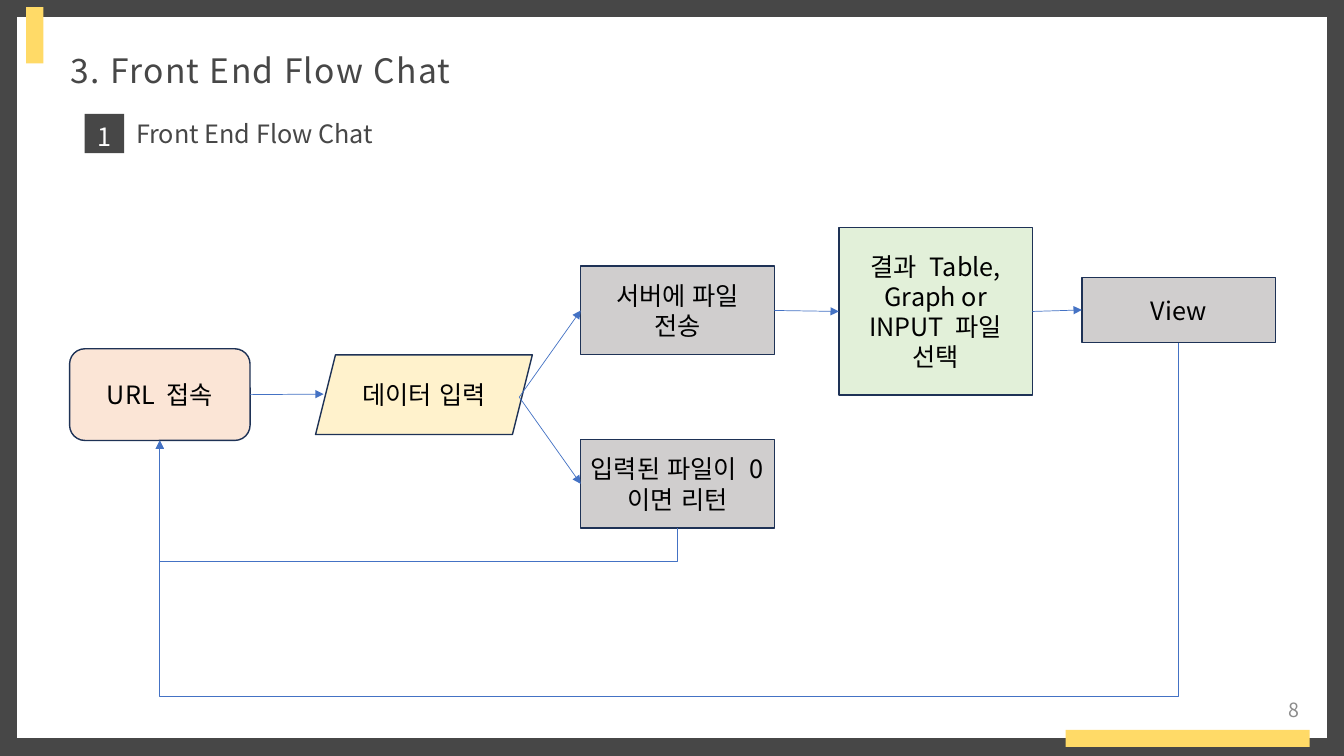
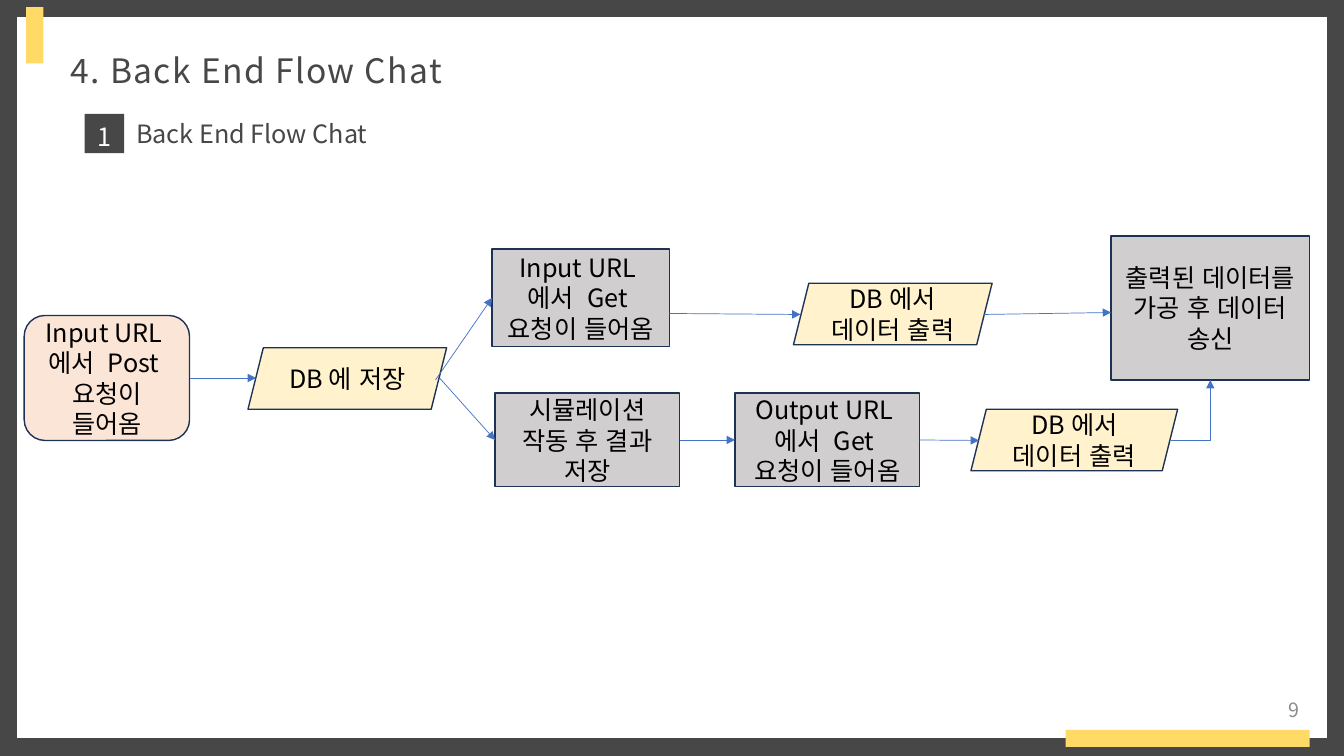
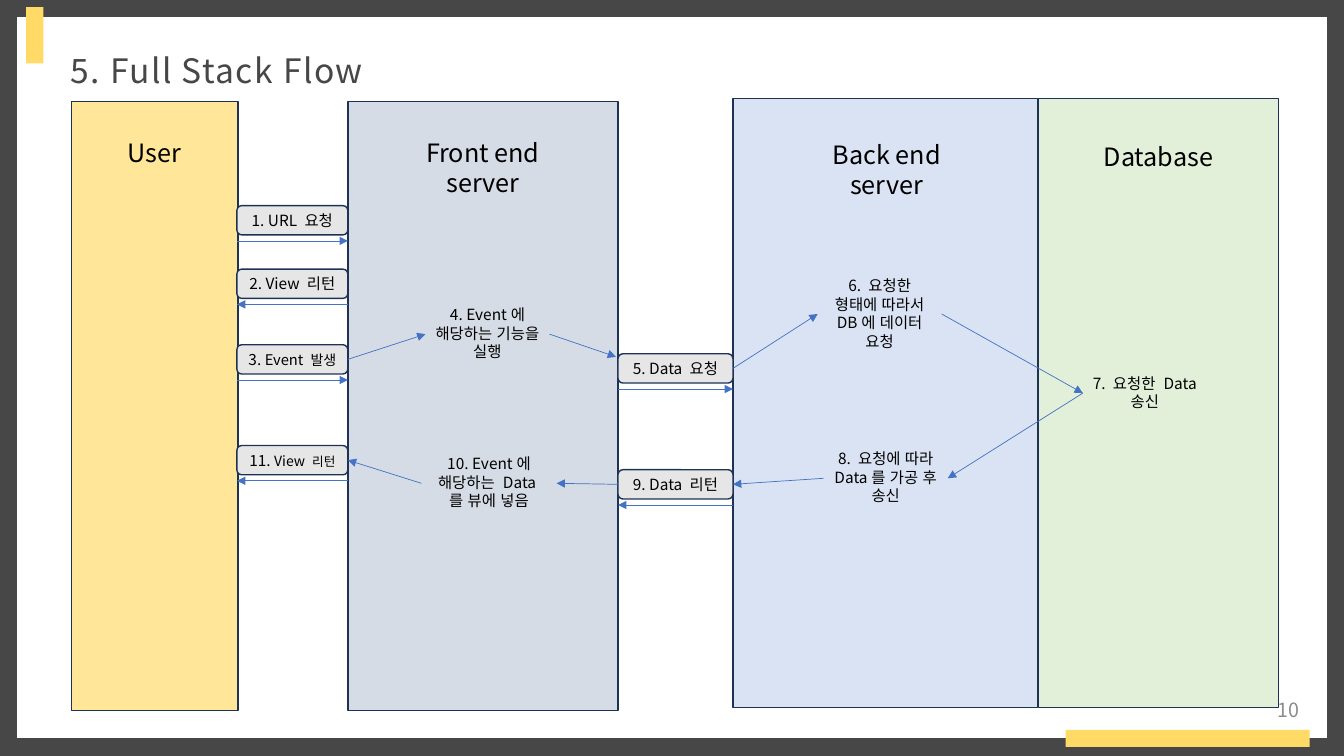
"""Builds three flow slides: front end, back end and full stack."""
from dataclasses import dataclass

from lxml import etree
from pptx import Presentation
from pptx import util as u
from pptx.dml.color import RGBColor
from pptx.enum import shapes, text
from pptx.oxml.ns import qn

RECT = shapes.MSO_SHAPE.RECTANGLE
ROUND = shapes.MSO_SHAPE.ROUNDED_RECTANGLE
SLANT = shapes.MSO_SHAPE.PARALLELOGRAM
LEFT, CENTER, RIGHT = text.PP_ALIGN.LEFT, text.PP_ALIGN.CENTER, text.PP_ALIGN.RIGHT
TOP, MIDDLE = text.MSO_ANCHOR.TOP, text.MSO_ANCHOR.MIDDLE
SIDE_LEFT, SIDE_BOTTOM, SIDE_RIGHT = 1, 2, 3


@dataclass(frozen=True)
class Theme:
    font: str = "Noto Sans CJK KR"
    dark: str = "474747"
    white: str = "FFFFFF"
    black: str = "000000"
    accent: str = "FFDA67"
    muted: str = "8C8C8C"
    outline: str = "1E3256"
    arrow: str = "4472C4"
    start: str = "FBE5D6"
    data: str = "FFF2CC"
    process: str = "D0CECE"
    result: str = "E2F0D9"
    message: str = "E7E6E6"
    user: str = "FFE699"
    front: str = "D6DCE5"
    back: str = "DAE3F3"
    title_size: float = 24
    node_size: float = 18
    page_size: float = 14
    step_size: float = 11
    leading: float = 1.2


THEME = Theme()

KINDS = {
    "start": (ROUND, THEME.start),
    "data": (SLANT, THEME.data),
    "process": (RECT, THEME.process),
    "result": (RECT, THEME.result),
}

FRAME = [
    ((0.17, 0.17, 12.99, 7.15), THEME.white),
    ((0.26, 0.07, 0.17, 0.56), THEME.accent),
    ((10.57, 7.24, 2.42, 0.17), THEME.accent),
]

FLOWS = [
    {
        "page": 8,
        "title": "3. Front End Flow Chat",
        "heading": "Front End Flow Chat",
        "nodes": {
            "url": ("start", (0.69, 3.46, 1.79, 0.91), "URL 접속"),
            "input": ("data", (3.13, 3.52, 2.15, 0.79), "데이터 입력"),
            "empty": ("process", (5.76, 4.36, 1.92, 0.88), "입력된 파일이 0이면 리턴"),
            "upload": ("process", (5.76, 2.64, 1.92, 0.88), "서버에 파일 전송"),
            "result": ("result", (8.32, 2.26, 1.92, 1.66), "결과 Table,\nGraph or INPUT 파일 선택"),
            "view": ("process", (10.73, 2.75, 1.92, 0.65), "View"),
        },
        "arrows": [
            (("url", SIDE_RIGHT), (3.21, 3.91)),
            ((5.15, 3.94), ("empty", SIDE_LEFT)),
            ((5.15, 3.94), ("upload", SIDE_LEFT)),
            (("upload", SIDE_RIGHT), ("result", SIDE_LEFT)),
            (("result", SIDE_RIGHT), ("view", SIDE_LEFT)),
        ],
        "loops": [("empty", "url", 5.57), ("view", "url", 6.91)],
        "corners": [],
    },
    {
        "page": 9,
        "title": "4. Back End Flow Chat",
        "heading": "Back End Flow Chat",
        "nodes": {
            "post": ("start", (0.24, 3.13, 1.64, 1.24), "Input URL에서 Post요청이 들어옴"),
            "save": ("data", (2.46, 3.45, 1.97, 0.61), "DB에 저장"),
            "get input": ("process", (4.88, 2.47, 1.76, 0.97), "Input URL에서 Get요청이 들어옴"),
            "send": ("process", (11.02, 2.34, 1.97, 1.43), "출력된 데이터를 가공 후 데이터 송신"),
            "read input": ("data", (7.87, 2.81, 1.97, 0.61), "DB에서 데이터 출력"),
            "get output": ("process", (7.29, 3.9, 1.83, 0.93), "Output URL에서 Get요청이 들어옴"),
            "read output": ("data", (9.63, 4.06, 2.05, 0.61), "DB에서 데이터 출력"),
            "simulate": ("process", (4.91, 3.9, 1.83, 0.93), "시뮬레이션 작동 후 결과 저장"),
        },
        "arrows": [
            (("post", SIDE_RIGHT), (2.54, 3.75)),
            (("simulate", SIDE_RIGHT), ("get output", SIDE_LEFT)),
            ((4.32, 3.77), ("get input", SIDE_LEFT)),
            ((6.64, 3.11), (7.94, 3.12)),
            ((9.76, 3.12), (11.02, 3.1)),
            ((4.36, 3.75), ("simulate", SIDE_LEFT)),
            (("get output", SIDE_RIGHT), (9.71, 4.37)),
        ],
        "loops": [],
        "corners": [((11.61, 4.37), ("send", SIDE_BOTTOM))],
    },
]

STACK = {
    "page": 10,
    "title": "5. Full Stack Flow",
    "lane_height": 6.04,
    "lanes": [
        ((10.3, 0.98, 2.38), THEME.result, (10.81, 1.35, 1.36, 0.41), "Database"),
        ((7.27, 0.98, 3.02), THEME.back, (8.13, 1.33, 1.33, 0.72), "Back end\nserver"),
        ((0.71, 1.01, 1.65), THEME.user, (1.05, 1.31, 0.96, 0.41), "User"),
        ((3.45, 1.01, 2.68), THEME.front, (4.11, 1.31, 1.36, 0.72), "Front end\nserver"),
    ],
    "steps": {
        4: ((4.22, 2.98, 1.23, 0.67), "4. Event에 해당하는 기능을 실행"),
        6: ((8.11, 2.69, 1.23, 0.85), "6. 요청한 형태에 따라서 DB에 데이터 요청"),
        7: ((10.74, 3.66, 1.23, 0.48), "7. 요청한 Data 송신"),
        8: ((8.17, 4.41, 1.23, 0.67), "8. 요청에 따라 Data를 가공 후 송신"),
        10: ((4.18, 4.46, 1.34, 0.67), "10. Event에 해당하는 Data를 뷰에 넣음"),
    },
    "gaps": {"user": (2.35, 1.1), "server": (6.13, 1.14)},
    "message_height": 0.29,
    "arrow_drop": 0.35,
    "messages": {
        1: ("user", 2.04, True, "1. URL 요청"),
        2: ("user", 2.67, False, "2. View 리턴"),
        3: ("user", 3.42, True, [("3. ", 11), ("Event", 10.5), (" ", 11), ("발생", 10)]),
        5: ("server", 3.51, True, "5. Data 요청"),
        9: ("server", 4.66, False, "9. Data 리턴"),
        11: ("user", 4.42, False, [("11. ", 11), ("View", 10), (" ", 11), ("리턴", 9)]),
    },
    "arrows": [
        ((3, SIDE_RIGHT), (4, SIDE_LEFT)),
        ((4, SIDE_RIGHT), (6.11, 3.54)),
        ((5, SIDE_RIGHT), (6, SIDE_LEFT)),
        ((6, SIDE_RIGHT), (7, SIDE_LEFT)),
        ((7, SIDE_LEFT), (8, SIDE_RIGHT)),
        ((8, SIDE_LEFT), (9, SIDE_RIGHT)),
        ((9, SIDE_LEFT), (10, SIDE_RIGHT)),
        ((10, SIDE_LEFT), (11, SIDE_RIGHT)),
    ],
}


def inches(values):
    return [u.Inches(value) for value in values]


def place(shape, box):
    shape.left, shape.top, shape.width, shape.height = inches(box)


def write(shape, content, size, color=THEME.black, align=CENTER, anchor=MIDDLE,
          spacing=0, plain=False):
    frame = shape.text_frame
    frame.word_wrap = True
    frame.auto_size = text.MSO_AUTO_SIZE.NONE
    frame.vertical_anchor = anchor
    lines = content.split("\n") if isinstance(content, str) else [content]
    for number, line in enumerate(lines):
        paragraph = frame.add_paragraph() if number else frame.paragraphs[0]
        if isinstance(line, str):
            paragraph.text = line
        else:
            for words, run_size in line:
                run = paragraph.add_run()
                run.text = words
                run.font.size = u.Pt(run_size)
        paragraph.alignment = align
        if plain:
            props = paragraph._p.get_or_add_pPr()
            props.set("marL", "0")
            props.set("indent", "0")
            etree.SubElement(props, qn("a:buNone"))
        paragraph.space_before = u.Pt(0)
        paragraph.line_spacing = u.Pt(round(size * THEME.leading, 1))
        font = paragraph.font
        font.size = u.Pt(size)
        font.color.rgb = RGBColor.from_string(color)
        font.name = THEME.font
        font._rPr.set("lang", "ko-KR")
        if spacing:
            font._rPr.set("spc", str(spacing))
        etree.SubElement(font._rPr, qn("a:ea"), typeface=THEME.font)


def add_box(slide, preset, box, fill, outline=THEME.outline):
    shape = slide.shapes.add_shape(preset, *inches(box))
    shape.shadow.inherit = False
    shape.fill.solid()
    shape.fill.fore_color.rgb = RGBColor.from_string(fill)
    if outline:
        shape.line.color.rgb = RGBColor.from_string(outline)
        shape.line.width = u.Pt(1)
    else:
        shape.line.fill.background()
    return shape


def add_label(slide, box, content, size, **style):
    label = slide.shapes.add_textbox(*inches(box))
    write(label, content, size, **style)
    return label


def is_point(end):
    return isinstance(end[1], float)


def add_arrow(slide, begin, end, nodes, kind=shapes.MSO_CONNECTOR.STRAIGHT):
    points = [inches(e) if is_point(e) else (0, 0) for e in (begin, end)]
    arrow = slide.shapes.add_connector(kind, *points[0], *points[1])
    if not is_point(begin):
        arrow.begin_connect(nodes[begin[0]], begin[1])
    if not is_point(end):
        arrow.end_connect(nodes[end[0]], end[1])
    arrow.line.color.rgb = RGBColor.from_string(THEME.arrow)
    arrow.line.width = u.Pt(0.5)
    props = arrow.element.spPr
    etree.SubElement(props.find(qn("a:ln")), qn("a:tailEnd"), type="triangle")
    etree.SubElement(props, qn("a:effectLst"))
    return arrow


def add_loop(slide, begin, end, depth, nodes):
    arrow = add_arrow(slide, (begin, SIDE_BOTTOM), (end, SIDE_BOTTOM), nodes,
                      shapes.MSO_CONNECTOR.ELBOW)
    x1, y1, x2, y2 = arrow.begin_x, arrow.begin_y, arrow.end_x, arrow.end_y
    width, height = abs(y2 - y1), abs(x2 - x1)
    arrow.left, arrow.top = (x1 + x2 - width) // 2, (y1 + y2 - height) // 2
    arrow.width, arrow.height = width, height
    props = arrow.element.spPr
    frame = props.find(qn("a:xfrm"))
    for flip in ("flipH", "flipV"):
        frame.attrib.pop(flip, None)
    frame.set("rot", "5400000")
    if y2 < y1:
        frame.set("flipH", "1")
    bend = round((u.Inches(depth) - y1) / (y2 - y1) * 100000)
    guides = props.find(qn("a:prstGeom")).find(qn("a:avLst"))
    etree.SubElement(guides, qn("a:gd"), name="adj1", fmla=f"val {bend}")


def add_corner(slide, begin, end, nodes):
    arrow = add_arrow(slide, begin, end, nodes, shapes.MSO_CONNECTOR.ELBOW)
    arrow.element.spPr.find(qn("a:prstGeom")).set("prst", "bentConnector2")


def build_master(prs, slide):
    master = prs.slide_master
    master.background.fill.solid()
    master.background.fill.fore_color.rgb = RGBColor.from_string(THEME.dark)
    for number, (box, fill) in enumerate(FRAME):
        part = add_box(slide, RECT, box, fill, outline=None)
        part.element.nvSpPr.cNvPr.set("id", str(100 + number))
        master.element.cSld.spTree.append(part.element)


def fill_placeholder(holder, box, content, size, top, **style):
    place(holder, box)
    write(holder, content, size, anchor=TOP, plain=True, **style)
    holder.text_frame.margin_top = u.Inches(top)
    holder.text_frame.margin_bottom = 0


def start_slide(prs, layout, page, title):
    slide = prs.slides.add_slide(prs.slide_layouts[layout])
    fill_placeholder(slide.shapes.title, (0.6, 0.45, 11.95, 0.37), title,
                     THEME.title_size, 0.04, color=THEME.dark, align=LEFT, spacing=100)
    add_label(slide, (9.99, 6.84, 3, 0.4), str(page), THEME.page_size,
              color=THEME.muted, align=RIGHT)
    return slide


def build_flow(prs, flow):
    slide = start_slide(prs, 3, flow["page"], flow["title"])
    heading, badge = slide.placeholders[1], slide.placeholders[2]
    fill_placeholder(heading, (1.25, 1.14, 11.3, 0.37), flow["heading"],
                     THEME.node_size, 0.03, color=THEME.dark, align=LEFT)
    fill_placeholder(badge, (0.84, 1.13, 0.39, 0.39), "1",
                     THEME.node_size, 0.07, color=THEME.white)
    badge.fill.solid()
    badge.fill.fore_color.rgb = RGBColor.from_string(THEME.dark)
    nodes = {}
    for key, (kind, box, words) in flow["nodes"].items():
        preset, fill = KINDS[kind]
        nodes[key] = add_box(slide, preset, box, fill)
        write(nodes[key], words, THEME.node_size)
    for begin, end in flow["arrows"]:
        add_arrow(slide, begin, end, nodes)
    for begin, end, depth in flow["loops"]:
        add_loop(slide, begin, end, depth, nodes)
    for begin, end in flow["corners"]:
        add_corner(slide, begin, end, nodes)
    return slide


def build_stack(prs, stack):
    slide = start_slide(prs, 5, stack["page"], stack["title"])
    for lane, fill, name_box, name in stack["lanes"]:
        add_box(slide, RECT, (*lane, stack["lane_height"]), fill)
        add_label(slide, name_box, name, THEME.node_size, anchor=TOP)
    nodes = {}
    for key, (box, words) in stack["steps"].items():
        nodes[key] = add_label(slide, box, words, THEME.step_size, anchor=TOP)
    for key, (gap, top, forward, words) in stack["messages"].items():
        left, width = stack["gaps"][gap]
        ends = [(left, top + stack["arrow_drop"]), (left + width, top + stack["arrow_drop"])]
        add_arrow(slide, *(ends if forward else reversed(ends)), nodes)
        nodes[key] = add_box(slide, ROUND, (left, top, width, stack["message_height"]),
                             THEME.message)
        write(nodes[key], words, THEME.step_size)
    for begin, end in stack["arrows"]:
        add_arrow(slide, begin, end, nodes)


def main():
    prs = Presentation()
    prs.slide_width, prs.slide_height = inches((13.33, 7.5))
    flow_slides = [build_flow(prs, flow) for flow in FLOWS]
    build_master(prs, flow_slides[0])
    build_stack(prs, STACK)
    prs.save("out.pptx")


if __name__ == "__main__":
    main()
